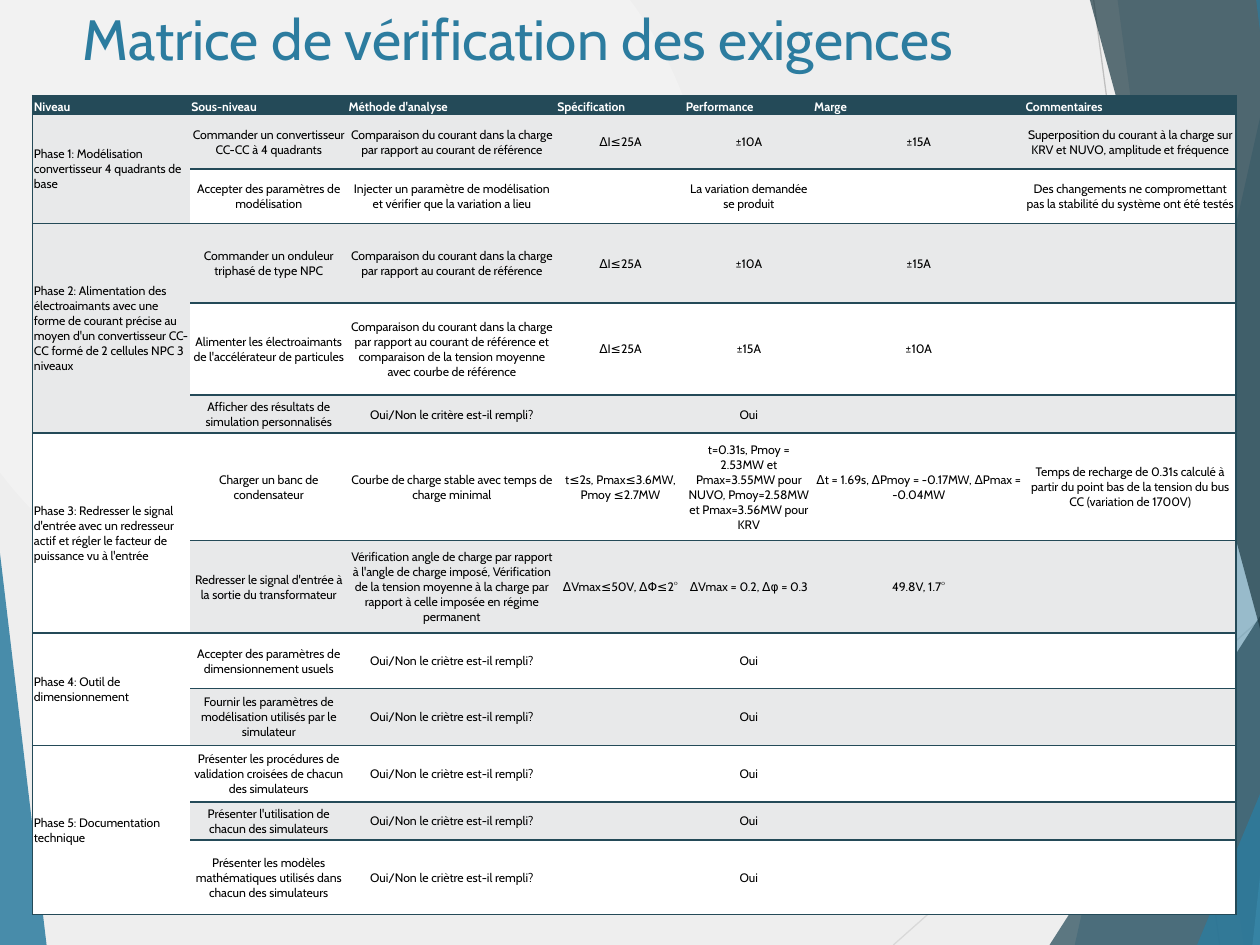
from lxml import etree
from pptx import Presentation
from pptx import util as u
from pptx.dml.color import RGBColor
from pptx.enum import shapes, text
from pptx.oxml.ns import qn

WIDTH, HEIGHT = u.Inches(10), u.Inches(7.5)
FONT = "Cabin"
BLUE, DARK, SLATE, SKY = "2C7C9F", "244A58", "1B3842", "6FB7D7"
GREY, WHITE, BLACK = "E8E9EA", "FFFFFF", "000000"
BLEED = 110  # the right-hand panels run past the slide edge

# Relative column widths and row heights of the matrix
COLUMNS = [125, 125, 166, 102, 102, 168, 168]
ROWS = [15, 43, 43, 63, 73, 30, 85, 73, 44, 45, 45, 30, 59]
HEADERS = ["Niveau", "Sous-niveau", "Méthode d'analyse", "Spécification",
           "Performance", "Marge", "Commentaires"]

CURRENT = "Comparaison du courant dans la charge par rapport au courant de référence"
YES_NO = "Oui/Non le criètre est-il rempli?"
PHASES = [
    ("Phase 1: Modélisation convertisseur 4 quadrants de base", [
        ["Commander un convertisseur CC-CC à 4 quadrants", CURRENT, "ΔI≤25A", "±10A", "±15A",
         "Superposition du courant à la charge sur KRV et NUVO, amplitude et fréquence"],
        ["Accepter des paramètres de modélisation",
         "Injecter un paramètre de modélisation et vérifier que la variation a lieu",
         "", "La variation demandée se produit", "",
         "Des changements ne compromettant pas la stabilité du système ont été testés"]]),
    ("Phase 2: Alimentation des électroaimants avec une forme de courant précise "
     "au moyen d'un convertisseur CC-CC formé de 2 cellules NPC 3 niveaux", [
        ["Commander un onduleur triphasé de type NPC", CURRENT, "ΔI≤25A", "±10A", "±15A", ""],
        ["Alimenter les électroaimants de l'accélérateur de particules",
         CURRENT + " et comparaison de la tension moyenne avec courbe de référence",
         "ΔI≤25A", "±15A", "±10A", ""],
        ["Afficher des résultats de simulation personnalisés",
         "Oui/Non le critère est-il rempli?", "", "Oui", "", ""]]),
    ("Phase 3: Redresser le signal d'entrée avec un redresseur actif et régler "
     "le facteur de puissance vu à l'entrée", [
        ["Charger un banc de condensateur",
         "Courbe de charge stable avec temps de charge minimal",
         "t≤2s, Pmax≤3.6MW, Pmoy ≤2.7MW",
         "t=0.31s, Pmoy = 2.53MW et Pmax=3.55MW pour NUVO, "
         "Pmoy=2.58MW et Pmax=3.56MW pour KRV",
         "Δt = 1.69s, ΔPmoy = -0.17MW, ΔPmax = -0.04MW",
         "Temps de recharge de 0.31s calculé à partir du point bas de la tension "
         "du bus CC (variation de 1700V)"],
        ["Redresser le signal d'entrée à la sortie du transformateur",
         "Vérification angle de charge par rapport à l'angle de charge imposé, "
         "Vérification de la tension moyenne à la charge par rapport à celle imposée "
         "en régime permanent",
         "ΔVmax≤50V, ΔΦ≤2°", "ΔVmax = 0.2, Δφ = 0.3", "49.8V, 1.7°", ""]]),
    ("Phase 4: Outil de dimensionnement", [
        [task, YES_NO, "", "Oui", "", ""] for task in (
            "Accepter des paramètres de dimensionnement usuels",
            "Fournir les paramètres de modélisation utilisés par le simulateur")]),
    ("Phase 5: Documentation technique", [
        [task, YES_NO, "", "Oui", "", ""] for task in (
            "Présenter les procédures de validation croisées de chacun des simulateurs",
            "Présenter l'utilisation de chacun des simulateurs",
            "Présenter les modèles mathématiques utilisés dans chacun des simulateurs")]),
]


def across(percent):
    return u.Emu(round(WIDTH * percent / 100))


def down(percent):
    return u.Emu(round(HEIGHT * percent / 100))


def color(value):
    return RGBColor.from_string(value)


def write(frame, content, size=7, ink=BLACK, bold=False, align=text.PP_ALIGN.LEFT):
    paragraph = frame.paragraphs[0]
    paragraph.alignment = align
    if not content:  # keeps empty cells from growing their row
        etree.SubElement(paragraph._p, qn("a:endParaRPr"), sz=str(size * 100))
        return
    run = paragraph.add_run()
    run.text = content
    run.font.name, run.font.size, run.font.bold = FONT, u.Pt(size), bold
    run.font.color.rgb = color(ink)


def paint(shape, fill, opacity):
    shape.shadow.inherit = False
    shape.line.fill.background()
    shape.fill.solid()
    shape.fill.fore_color.rgb = color(fill)
    tint = shape._element.spPr.find(qn("a:solidFill"))[0]
    etree.SubElement(tint, qn("a:alpha"), val=str(opacity * 1000))


def add_line(slide, start, end, stroke):
    line = slide.shapes.add_connector(
        shapes.MSO_CONNECTOR.STRAIGHT, across(start[0]), down(start[1]),
        across(end[0]), down(end[1]))
    line.line.color.rgb = color(stroke)
    line.line.width = u.Pt(0.75)
    etree.SubElement(line._element.spPr, qn("a:effectLst"))


def add_panel(slide, top, bottom, fill, opacity):
    builder = slide.shapes.build_freeform(across(top), 0)
    builder.add_line_segments([(across(BLEED), 0), (across(BLEED), HEIGHT),
                               (across(bottom), HEIGHT)], close=True)
    paint(builder.convert_to_shape(), fill, opacity)


def add_triangle(slide, left, top, width, apex, fill, opacity):
    triangle = slide.shapes.add_shape(
        shapes.MSO_SHAPE.ISOSCELES_TRIANGLE, across(left), down(top),
        across(width), down(100 - top))
    triangle.adjustments[0] = apex
    paint(triangle, fill, opacity)


def add_background(slide):
    fill = slide.background.fill
    fill.gradient()
    for stop, tint in zip(fill.gradient_stops, ("F2F2F2", "EEEEEE")):
        stop.color.rgb = color(tint)
    gradient = slide.element.find(".//" + qn("a:gradFill"))
    gradient.remove(gradient.find(qn("a:lin")))
    circle = etree.SubElement(gradient, qn("a:path"))
    circle.set("path", "circle")
    etree.SubElement(circle, qn("a:fillToRect"), l="50000", t="50000", r="100000", b="100000")


def add_title(slide, content):
    box = slide.shapes.add_textbox(across(5.6), down(0.4), across(80), down(9.47))
    frame = box.text_frame
    frame.word_wrap = True
    frame.margin_top = frame.margin_bottom = 0
    frame.vertical_anchor = text.MSO_ANCHOR.TOP
    write(frame, content, size=32.4, ink=BLUE)


def set_borders(cell, sides):
    properties = cell._tc.get_or_add_tcPr()
    for index, side in enumerate("LRTB"):
        line = etree.Element(qn("a:ln" + side), w=str(u.Pt(1)))
        if side in sides:
            solid = etree.SubElement(line, qn("a:solidFill"))
            etree.SubElement(solid, qn("a:srgbClr"), val=DARK)
        else:
            etree.SubElement(line, qn("a:noFill"))
        properties.insert(index, line)


def format_cell(cell, content, fill, sides="TB", anchor=text.MSO_ANCHOR.MIDDLE, **style):
    cell.margin_left = cell.margin_right = cell.margin_top = u.Inches(0.01)
    cell.margin_bottom = 0
    cell.vertical_anchor = anchor
    cell.fill.solid()
    cell.fill.fore_color.rgb = color(fill)
    set_borders(cell, sides)
    write(cell.text_frame, content, **style)


def add_matrix(slide):
    width, height = across(95.5), down(86.7)
    table = slide.shapes.add_table(len(ROWS), len(COLUMNS), across(2.6), down(10.13),
                                   width, height).table
    for column, share in zip(table.columns, COLUMNS):
        column.width = round(width * share / sum(COLUMNS))
    for row, share in zip(table.rows, ROWS):
        row.height = round(height * share / sum(ROWS))

    # Header row
    edges = {0: "LTB", len(COLUMNS) - 1: "RTB"}
    for index, header in enumerate(HEADERS):
        format_cell(table.cell(0, index), header, DARK, edges.get(index, "TB"),
                    text.MSO_ANCHOR.BOTTOM, ink=WHITE, bold=True)

    # One merged first cell for each phase, one row for each task
    row = 1
    for phase, tasks in PHASES:
        end = row + len(tasks) - 1
        band = GREY if row % 2 else WHITE
        format_cell(table.cell(row, 0), phase, band, "LTB")
        for inner in range(row + 1, end + 1):
            format_cell(table.cell(inner, 0), "", band, "LB" if inner == end else "L")
        table.cell(row, 0).merge(table.cell(end, 0))
        for offset, task in enumerate(tasks):
            band = GREY if (row + offset) % 2 else WHITE
            for index, content in enumerate(task, 1):
                format_cell(table.cell(row + offset, index), content, band,
                            edges.get(index, "TB"), align=text.PP_ALIGN.CENTER)
        row = end + 1


def main():
    presentation = Presentation()
    presentation.slide_width, presentation.slide_height = WIDTH, HEIGHT
    slide = presentation.slides.add_slide(presentation.slide_layouts[6])

    # Backdrop: thin lines, slanted panels and corner triangles
    add_background(slide)
    add_line(slide, (86.8, 0), (96.8, 100), "BFBFBF")
    add_line(slide, (BLEED, 53.73), (70.9, 100), "D9D9D9")
    add_panel(slide, 102.1, 85.3, BLUE, 30)
    add_panel(slide, 88.7, 98.7, BLUE, 20)
    add_triangle(slide, 83.3, 44.4, 26.7, 1, DARK, 72)
    add_panel(slide, 86.5, 106.8, SLATE, 70)
    add_panel(slide, 107.7, 99.4, SKY, 70)
    add_panel(slide, 99.7, 108.8, BLUE, 65)
    add_triangle(slide, 95, 52.4, 14.9, 1, BLUE, 80)
    add_triangle(slide, 0, 58.53, 3.7, 0, BLUE, 85)

    # Content
    add_title(slide, "Matrice de vérification des exigences")
    add_matrix(slide)
    presentation.save("out.pptx")


if __name__ == "__main__":
    main()
